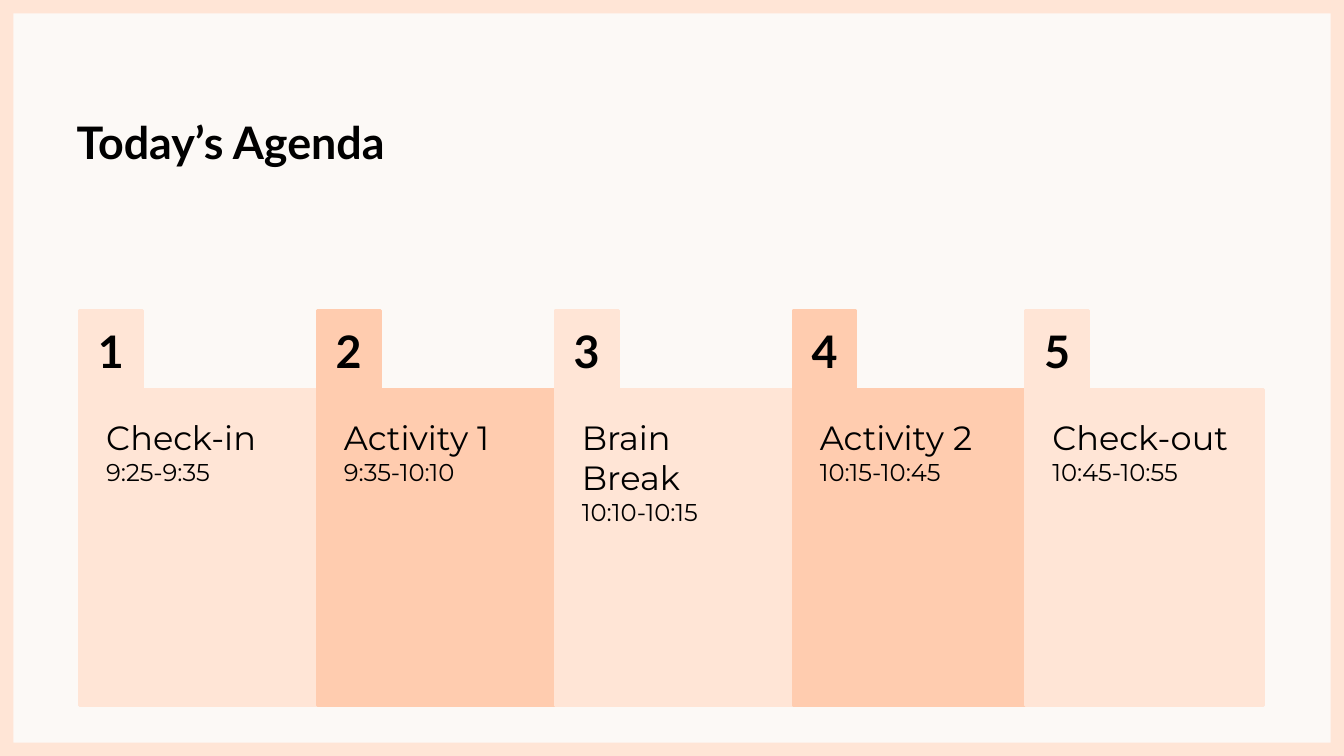
import dataclasses

import pptx
import pptx.dml.color
import pptx.enum.shapes
import pptx.enum.text
import pptx.util

Inches = pptx.util.Inches
Pt = pptx.util.Pt
Align = pptx.enum.text.PP_ALIGN
Anchor = pptx.enum.text.MSO_ANCHOR

WIDTH, EDGE = 10, 0.1
HEIGHT = WIDTH * 9 / 16
CARD_W, CARD_H, CARD_TOP = 1.77, 2.35, 2.9
TAB_W, TAB_H = 0.47, 0.59
LEFT, LAST = 0.59, 7.63
COLORS = {"back": "FCF9F6", "light": "FFE5D6", "dark": "FFCCAF", "text": "000000"}


@dataclasses.dataclass
class Step:
    name: str
    time: str


@dataclasses.dataclass
class Box:
    left: float
    top: float
    width: float
    height: float


STEPS = [
    Step("Check-in", "9:25-9:35"),
    Step("Activity 1", "9:35-10:10"),
    Step("Brain Break", "10:10-10:15"),
    Step("Activity 2", "10:15-10:45"),
    Step("Check-out", "10:45-10:55"),
]


def rgb(key: str) -> pptx.dml.color.RGBColor:
    return pptx.dml.color.RGBColor.from_string(COLORS[key])


def add_rect(slide, box: Box, color: str, line: float = 0):
    """Add a flat rectangle, outlined in its own colour if line is given."""
    shape = slide.shapes.add_shape(
        pptx.enum.shapes.MSO_SHAPE.RECTANGLE,
        Inches(box.left), Inches(box.top), Inches(box.width), Inches(box.height),
    )
    shape.shadow.inherit = False
    shape.fill.solid()
    shape.fill.fore_color.rgb = rgb(color)
    if line:
        shape.line.color.rgb = rgb(color)
        shape.line.width = Pt(line)
    else:
        shape.line.fill.background()
    return shape


def set_frame(frame, inset: float, anchor: Anchor) -> None:
    frame.word_wrap = True
    frame.auto_size = pptx.enum.text.MSO_AUTO_SIZE.NONE
    frame.vertical_anchor = anchor
    frame.margin_left = frame.margin_right = Inches(inset)
    frame.margin_top = frame.margin_bottom = Inches(inset)


def set_para(para, text: str, font: str, size: float,
             bold: bool = False, align: Align = Align.LEFT) -> None:
    para.text = text
    para.alignment = align
    para.font.name = font
    para.font.size = Pt(size)
    para.font.bold = bold
    para.font.color.rgb = rgb("text")


def add_frame(slide) -> None:
    """Draw the border strips around the slide."""
    for box in (
        Box(0, 0, WIDTH, EDGE),
        Box(0, HEIGHT - EDGE, WIDTH, EDGE),
        Box(0, 0, EDGE, HEIGHT),
        Box(WIDTH - EDGE, 0, EDGE, HEIGHT),
    ):
        add_rect(slide, box, "light")


def add_title(slide, text: str) -> None:
    title = slide.shapes.title
    title.left, title.top = Inches(0.47), Inches(0.59)
    title.width, title.height = Inches(9.09), Inches(0.92)
    set_frame(title.text_frame, 0.1, Anchor.MIDDLE)
    set_para(title.text_frame.paragraphs[0], text, "Lato", 24, bold=True)


def add_step(slide, num: int, step: Step) -> None:
    """Draw one agenda card with its numbered tab."""
    left = min(LEFT + (num - 1) * CARD_W, LAST)
    color = "light" if num % 2 else "dark"

    card = add_rect(slide, Box(left, CARD_TOP, CARD_W, CARD_H), color, 1.5)
    frame = card.text_frame
    set_frame(frame, 0.2, Anchor.TOP)
    set_para(frame.paragraphs[0], step.name, "Montserrat", 18)
    set_para(frame.add_paragraph(), step.time, "Montserrat", 13)

    tab = add_rect(slide, Box(left, CARD_TOP - TAB_H, TAB_W, TAB_H), color, 1.5)
    set_frame(tab.text_frame, 0.1, Anchor.MIDDLE)
    set_para(tab.text_frame.paragraphs[0], str(num), "Lato", 24,
             bold=True, align=Align.CENTER)


def main() -> None:
    deck = pptx.Presentation()
    deck.slide_width, deck.slide_height = Inches(WIDTH), Inches(HEIGHT)
    slide = deck.slides.add_slide(deck.slide_layouts.get_by_name("Title Only"))
    slide.background.fill.solid()
    slide.background.fill.fore_color.rgb = rgb("back")

    add_frame(slide)
    add_title(slide, "Today’s Agenda")
    for num, step in enumerate(STEPS, 1):
        add_step(slide, num, step)
    deck.save("out.pptx")


if __name__ == "__main__":
    main()
